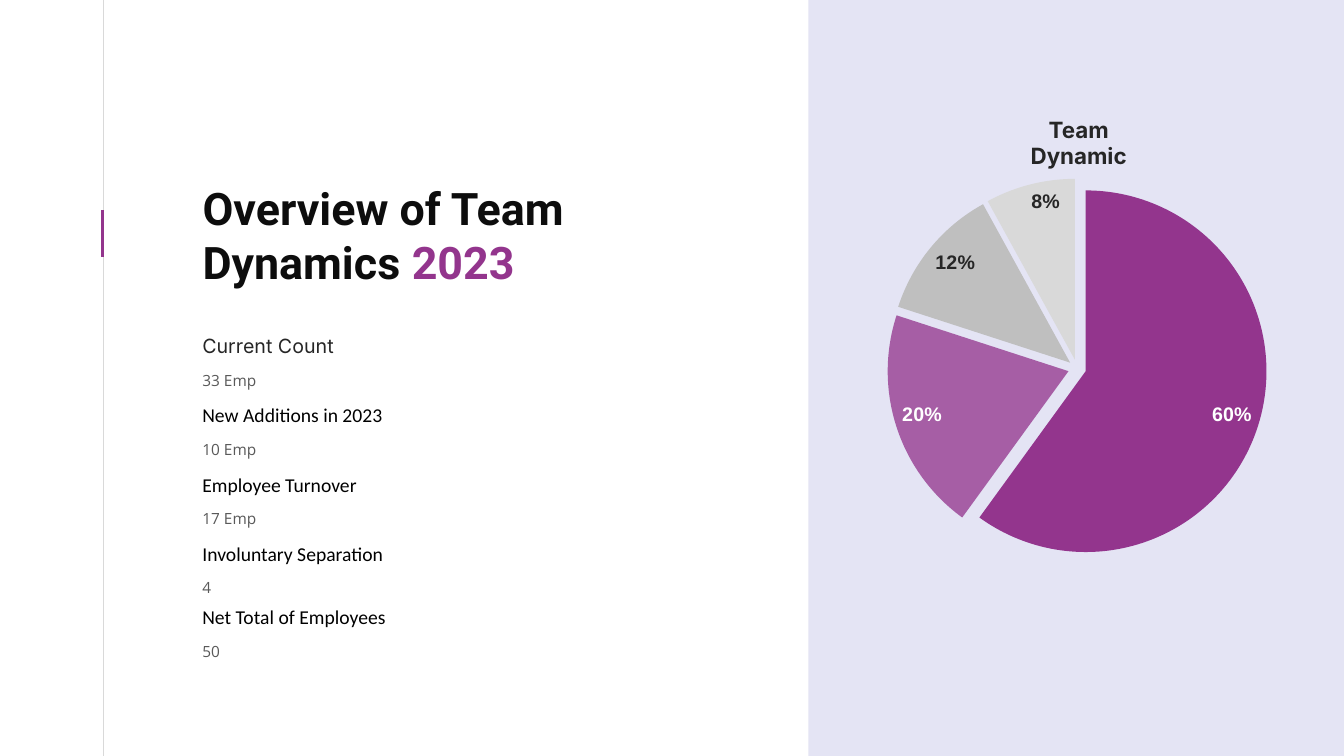
from lxml import etree
from pptx import Presentation
from pptx.chart.data import CategoryChartData
from pptx.dml.color import RGBColor
from pptx.enum.chart import XL_CHART_TYPE, XL_LABEL_POSITION
from pptx.enum.shapes import MSO_CONNECTOR, MSO_SHAPE
from pptx.enum.text import MSO_ANCHOR, MSO_AUTO_SIZE, PP_ALIGN
from pptx.oxml import parse_xml
from pptx.oxml.ns import qn
from pptx.util import Cm, Pt

PIE = XL_CHART_TYPE.PIE
INSIDE = XL_LABEL_POSITION.INSIDE_END
LINE, RECT = MSO_CONNECTOR.STRAIGHT, MSO_SHAPE.RECTANGLE
TOP, NO_FIT = MSO_ANCHOR.TOP, MSO_AUTO_SIZE.NONE
LEFT, CENTER = PP_ALIGN.LEFT, PP_ALIGN.CENTER

# Content
COLORS = {
    "plum": "93358D", "panel": "E4E4F4", "rule": "D9D9D9", "silver": "BFBFBF",
    "ink": "0D0D0D", "dark": "262626", "gray": "595959",
    "black": "000000", "white": "FFFFFF",
}
TITLE = [("Overview of Team Dynamics ", "ink"), ("2023", "plum")]
HEAD = "Team Dynamic"
# label, value, top in cm, font, colour
STATS = [
    ("Current Count", "33 Emp", 8.3, "Inter", "dark"),
    ("New Additions in 2023", "10 Emp", 10.04, "Calibri", "black"),
    ("Employee Turnover", "17 Emp", 11.78, "Calibri", "black"),
    ("Involuntary Separation", "4", 13.52, "Calibri", "black"),
    ("Net Total of Employees", "50", 15.12, "Calibri", "black"),
]
# category, share, fill, opacity in percent, label colour
SLICES = [
    ("1", 0.6, "plum", 100, "white"),
    ("2", 0.2, "plum", 76, "white"),
    ("3", 0.12, "silver", 100, "dark"),
    ("4", 0.08, "rule", 100, "dark"),
]
WIDE, HIGH = 33.87, 19.05
MARGIN, RULE_X, PANEL_X = 4.85, 2.59, 20.37
GAP = 0.7


def color(name):
    return RGBColor.from_string(COLORS[name])


def style(font, name, size, tone, bold=False):
    font.name, font.size, font.bold = name, Pt(size), bold
    font.color.rgb = color(tone)


def add_run(para, text, *look):
    run = para.add_run()
    run.text = text
    style(run.font, *look)


def setup(frame, align):
    frame.word_wrap = True
    frame.auto_size = NO_FIT
    frame.vertical_anchor = TOP
    para = frame.paragraphs[0]
    para.alignment = align
    return para


def add_text(slide, box, text, *look, align=LEFT, space=1.0):
    frame = slide.shapes.add_textbox(*map(Cm, box)).text_frame
    para = setup(frame, align)
    para.line_spacing = space
    add_run(para, text, *look)


def add_rule(slide, top, end, tone, width):
    rule = slide.shapes.add_connector(
        LINE, Cm(RULE_X), Cm(top), Cm(RULE_X), Cm(end))
    rule.line.color.rgb = color(tone)
    rule.line.width = Pt(width)
    etree.SubElement(rule._element.spPr, qn("a:effectLst"))


def add_pie(slide):
    data = CategoryChartData(number_format="0%")
    data.categories = [part[0] for part in SLICES]
    data.add_series("Series 1", [part[1] for part in SLICES])
    chart = slide.shapes.add_chart(
        PIE, Cm(21.7), Cm(3.5), Cm(11), Cm(11.02), data).chart
    chart.has_title = chart.has_legend = False
    style(chart.font, "Calibri", 10, "black")
    plot = chart.plots[0]
    plot.vary_by_categories = True

    # Labels
    plot.has_data_labels = True
    labels = plot.data_labels
    labels.show_value = True
    labels.number_format, labels.number_format_is_linked = "0%", False
    labels.position = INSIDE
    style(labels.font, "Arial", 14, "white", True)

    # Slices
    series = plot.series[0]
    for i, (_, _, tone, solid, text) in enumerate(SLICES):
        point = series.points[i]
        fill = point.format.fill
        fill.solid()
        fill.fore_color.rgb = color(tone)
        point.format.line.fill.background()
        if solid < 100:
            shade = point.format._element.spPr if hasattr(
                point.format, "_element") else series._element.findall(
                qn("c:dPt"))[i].find(qn("c:spPr"))
            tint = shade.find(qn("a:solidFill"))[0]
            etree.SubElement(tint, qn("a:alpha"), val=str(solid * 1000))
        style(point.data_label.font, "Arial", 14, text, True)
        point.data_label.position = INSIDE

    # Gap between slices
    blast = etree.Element(qn("c:explosion"), val="5")
    series._element.find(qn("c:dPt")).addprevious(blast)
    for dot in series._element.findall(qn("c:dPt")):
        gap = etree.Element(qn("c:explosion"), val="5")
        dot.find(qn("c:spPr")).addprevious(gap)

    # Place of the pie inside the chart
    area = chart._chartSpace.chart.plotArea
    for old in area.findall(qn("c:layout")):
        area.remove(old)
    space = "http://schemas.openxmlformats.org/drawingml/2006/chart"
    area.insert(0, parse_xml(
        f'<c:layout xmlns:c="{space}"><c:manualLayout>'
        '<c:layoutTarget val="inner"/>'
        '<c:xMode val="edge"/><c:yMode val="edge"/>'
        '<c:x val="0.06"/><c:y val="0.09"/>'
        '<c:w val="0.87"/><c:h val="0.87"/>'
        '</c:manualLayout></c:layout>'))


def main():
    deck = Presentation()
    deck.slide_width, deck.slide_height = Cm(WIDE), Cm(HIGH)
    slide = deck.slides.add_slide(deck.slide_layouts[5])

    # Rules and panel
    add_rule(slide, 0, HIGH, "rule", 0.25)
    panel = slide.shapes.add_shape(
        RECT, Cm(PANEL_X), 0, Cm(WIDE - PANEL_X), Cm(HIGH))
    panel.shadow.inherit = False
    panel.fill.solid()
    panel.fill.fore_color.rgb = color("panel")
    panel.line.fill.background()
    add_rule(slide, 5.3, 6.48, "plum", 2.25)

    # Title
    title = slide.shapes.title
    title.left, title.top = Cm(MARGIN), Cm(4.42)
    title.width, title.height = Cm(11.43), Cm(3)
    para = setup(title.text_frame, LEFT)
    for text, tone in TITLE:
        add_run(para, text, "Roboto", 32, tone, True)

    # Figures
    for label, value, top, font, tone in STATS:
        add_text(slide, (MARGIN, top, 6.48, 0.86), label, font, 14, tone)
        add_text(slide, (MARGIN, top + GAP, 9.35, 0.89), value,
                 "Open Sans", 11, "gray", space=1.5)

    # Chart
    add_pie(slide)
    add_text(slide, (25.1, 2.79, 4.17, 0.94), HEAD,
             "Inter", 16, "dark", True, align=CENTER)

    deck.save("out.pptx")


if __name__ == "__main__":
    main()
